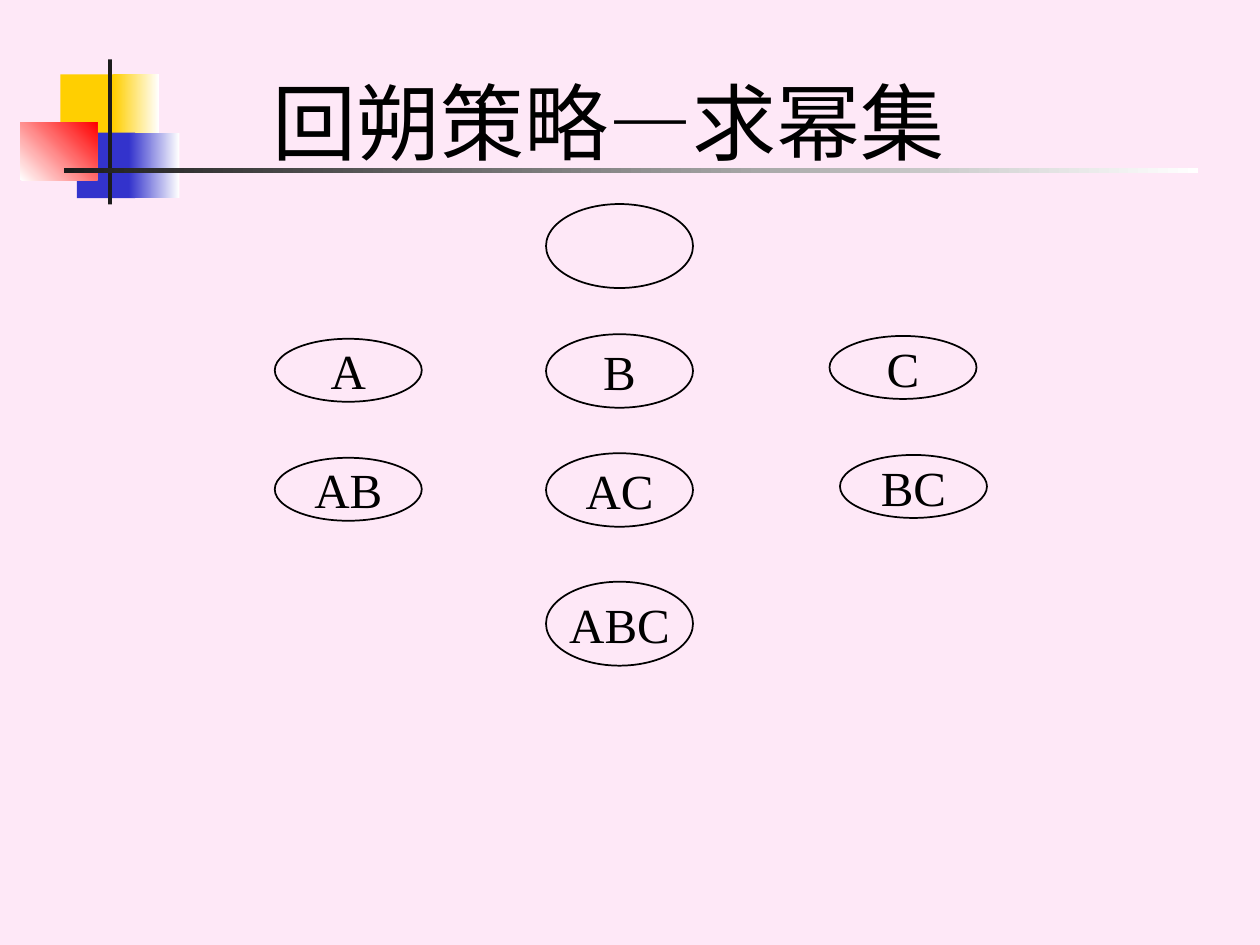
"""Build the backtracking slide that lists the power set of A, B and C."""
from typing import NamedTuple, Optional

from pptx import Presentation
from pptx.dml.color import RGBColor
from pptx.enum import shapes, text
from pptx.util import Pt


class Block(NamedTuple):
    left: float
    top: float
    width: float
    height: float
    color: str
    end_color: Optional[str] = None
    angle: float = 0


class Subset(NamedTuple):
    label: str
    left: float
    top: float
    height: float


BLACK = "000000"
WHITE = "FFFFFF"
YELLOW = "FFCF01"
BLUE = "3333CC"
CHARCOAL = "1C1C1C"
SUBSET_WIDTH = 84
LEFT_COLUMN, MIDDLE_COLUMN = 157, 312
SMALL, MEDIUM, LARGE = 36, 42, 48

BLOCKS = [
    Block(34.5, 42.5, 34.5, 37.5, YELLOW),
    Block(64.8, 42.5, 26, 37.5, YELLOW, WHITE),
    Block(44, 75.8, 33.2, 37.4, BLUE),
    Block(73.5, 75.8, 29, 37.4, BLUE, WHITE),
    Block(11.5, 69.8, 44, 33.2, WHITE, "FF0000", 45),
    Block(61.8, 34, 2.2, 82.8, CHARCOAL),
    Block(36.7, 96.2, 648, 2.8, CHARCOAL, WHITE),
]
SUBSETS = [
    Subset("", MIDDLE_COLUMN, 116.6, LARGE),
    Subset("A", LEFT_COLUMN, 193.6, SMALL),
    Subset("B", MIDDLE_COLUMN, 191, MEDIUM),
    Subset("C", 474, 192, SMALL),
    Subset("AB", LEFT_COLUMN, 261.6, SMALL),
    Subset("AC", MIDDLE_COLUMN, 259, MEDIUM),
    Subset("BC", 480, 260, SMALL),
    Subset("ABC", MIDDLE_COLUMN, 332.4, LARGE),
]
TITLE_RUNS = [("回朔策略", "Cabin"), ("—", "Arial"), ("求幂集", "Cabin")]


def color(value: str) -> RGBColor:
    return RGBColor.from_string(value)


def add_run(paragraph, content: str, font_name: str, size: float) -> None:
    run = paragraph.add_run()
    run.text = content
    run.font.name = font_name
    run.font.size = Pt(size)
    run.font.color.rgb = color(BLACK)


def draw_block(slide, block: Block) -> None:
    shape = slide.shapes.add_shape(
        shapes.MSO_SHAPE.RECTANGLE,
        Pt(block.left), Pt(block.top), Pt(block.width), Pt(block.height))
    shape.shadow.inherit = False
    shape.line.fill.background()
    if block.end_color is None:
        shape.fill.solid()
        shape.fill.fore_color.rgb = color(block.color)
        return
    shape.fill.gradient()
    shape.fill.gradient_angle = block.angle
    for stop, value in zip(shape.fill.gradient_stops, (block.color, block.end_color)):
        stop.color.rgb = color(value)


def draw_subset(slide, subset: Subset) -> None:
    shape = slide.shapes.add_shape(
        shapes.MSO_SHAPE.OVAL,
        Pt(subset.left), Pt(subset.top), Pt(SUBSET_WIDTH), Pt(subset.height))
    shape.shadow.inherit = False
    shape.fill.background()
    shape.line.color.rgb = color(BLACK)
    shape.line.width = Pt(1)
    if subset.label:
        frame = shape.text_frame
        frame.word_wrap = False
        frame.vertical_anchor = text.MSO_ANCHOR.MIDDLE
        paragraph = frame.paragraphs[0]
        paragraph.alignment = text.PP_ALIGN.CENTER
        add_run(paragraph, subset.label, "Times New Roman", 28)


def format_title(title) -> None:
    title.left, title.top, title.width, title.height = Pt(41), Pt(36.7), Pt(613.5), Pt(64.8)
    frame = title.text_frame
    frame.word_wrap = True
    frame.auto_size = text.MSO_AUTO_SIZE.NONE
    frame.vertical_anchor = text.MSO_ANCHOR.MIDDLE
    frame.margin_top = frame.margin_bottom = Pt(0)
    paragraph = frame.paragraphs[0]
    paragraph.alignment = text.PP_ALIGN.CENTER
    for content, font_name in TITLE_RUNS:
        add_run(paragraph, content, font_name, 48)


def main() -> None:
    presentation = Presentation()
    presentation.slide_width, presentation.slide_height = Pt(720), Pt(540)
    slide = presentation.slides.add_slide(presentation.slide_layouts[5])
    slide.background.fill.solid()
    slide.background.fill.fore_color.rgb = color("FEE8F7")
    for block in BLOCKS:
        draw_block(slide, block)
    title = slide.shapes.title
    format_title(title)
    title.element.getparent().append(title.element)
    for subset in SUBSETS:
        draw_subset(slide, subset)
    presentation.save("out.pptx")


if __name__ == "__main__":
    main()
